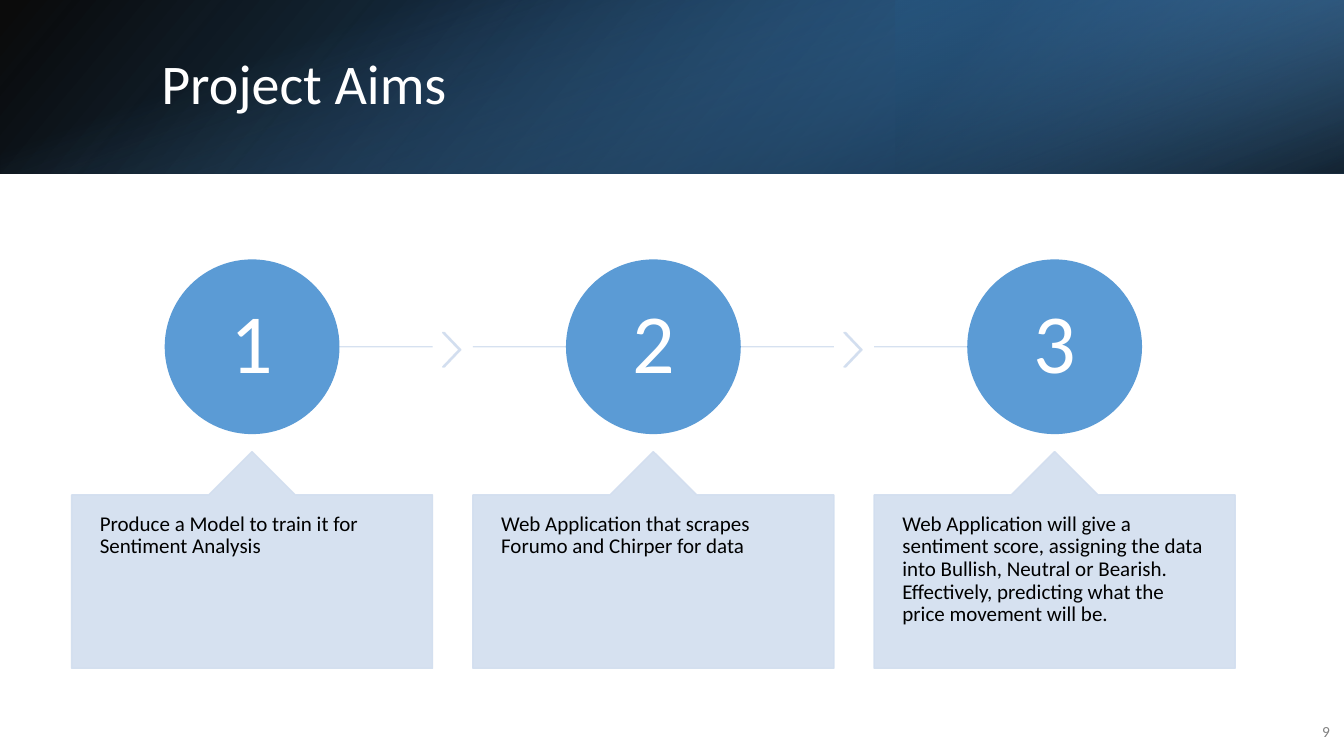
import pptx
import pptx.util
import pptx.oxml
import pptx.oxml.ns
import pptx.dml.color
import pptx.enum.shapes
import pptx.enum.text
from dataclasses import dataclass
from lxml import etree

TITLE = "Project Aims"
PAGE_NUMBER = "9"
AIMS = [
    "Produce a Model to train it for Sentiment Analysis",
    "Web Application that scrapes Forumo and Chirper for data",
    "Web Application will give a sentiment score, assigning the data into "
    "Bullish, Neutral or Bearish. Effectively, predicting what the price movement will be.",
]


@dataclass(frozen=True)
class Theme:
    font: str = "Calibri"
    accent: str = "5B9BD5"
    pale: str = "D2DEEF"
    white: str = "FFFFFF"
    black: str = "000000"
    grey: str = "808080"
    deep: str = "2E75B6"
    navy: str = "1F4E79"
    title_size: int = 40
    number_size: int = 60
    body_size: int = 15
    page_size: int = 11


THEME = Theme()
SLIDE_W, SLIDE_H = 13.33, 7.5
BAND_H = 1.72
BANDS = [
    ((0, 0, SLIDE_W, BAND_H), 0, True, 140,
     [(0, THEME.black, 96), (100, THEME.deep, 100)]),
    ((SLIDE_W * 2 / 3, 0, SLIDE_W / 3, BAND_H), 180, True, 320,
     [(19, THEME.navy, 68), (100, THEME.accent, 79)]),
    (((SLIDE_W - BAND_H) / 2, (BAND_H - SLIDE_W) / 2, BAND_H, SLIDE_W), 90, False, 340,
     [(23, THEME.accent, 0), (99, THEME.black, 74)]),
]
COLUMN_LEFT, COLUMN_W, GUTTER = 0.71, 3.58, 0.4
CALLOUT_TOP, CALLOUT_H = 4.48, 2.15
CIRCLE = 1.72
LINE_Y = 3.44
CHEVRON_W, CHEVRON_H, CHEVRON_TOP = 0.18, 0.34, 3.3
LINE_SPANS = [(5 / 9, 1), (0, 1), (0, 0.5)]
KIND = pptx.enum.shapes.MSO_SHAPE
ANCHOR = pptx.enum.text.MSO_ANCHOR
ALIGN = pptx.enum.text.PP_ALIGN


def inches(*lengths):
    return [pptx.util.Inches(length) for length in lengths]


def rgb(color):
    return pptx.dml.color.RGBColor.from_string(color)


def add_alpha(color_element, percent):
    alpha = etree.SubElement(color_element, pptx.oxml.ns.qn("a:alpha"))
    alpha.set("val", str(percent * 1000))


def fade(part, percent):
    for color_element in part.element.spPr.iter(pptx.oxml.ns.qn("a:srgbClr")):
        add_alpha(color_element, percent)


def add_block(slide, kind, box, color, adjustments=()):
    block = slide.shapes.add_shape(kind, *inches(*box))
    block.shadow.inherit = False
    block.fill.solid()
    block.fill.fore_color.rgb = rgb(color)
    block.line.color.rgb = rgb(color)
    block.line.width = pptx.util.Pt(1)
    for index, value in enumerate(adjustments):
        block.adjustments[index] = value
    return block


def write(part, text, size, color, align, anchor, inset=(0.1, 0.05), spacing=0.9):
    frame = part.text_frame
    frame.word_wrap = True
    frame.auto_size = pptx.enum.text.MSO_AUTO_SIZE.NONE
    frame.vertical_anchor = anchor
    frame.margin_left = frame.margin_right = pptx.util.Inches(inset[0])
    frame.margin_top = frame.margin_bottom = pptx.util.Inches(inset[1])
    frame.text = text
    paragraph = frame.paragraphs[0]
    paragraph.alignment = align
    paragraph.line_spacing = spacing
    paragraph.font.name = THEME.font
    paragraph.font.size = pptx.util.Pt(size)
    paragraph.font.color.rgb = rgb(color)


def add_band(slide, box, rotation, flipped, angle, stops):
    band = slide.shapes.add_shape(KIND.RECTANGLE, *inches(*box))
    band.shadow.inherit = False
    band.line.fill.background()
    band.rotation = rotation
    properties = band.element.spPr
    if flipped:
        properties.find(pptx.oxml.ns.qn("a:xfrm")).set("flipH", "1")
    band.fill.gradient()
    gradient = properties.find(pptx.oxml.ns.qn("a:gradFill"))
    gradient.set("rotWithShape", "1")
    stop_list = gradient.find(pptx.oxml.ns.qn("a:gsLst"))
    for stop in list(stop_list):
        stop_list.remove(stop)
    for position, color, opacity in stops:
        stop = etree.SubElement(stop_list, pptx.oxml.ns.qn("a:gs"), pos=str(position * 1000))
        color_element = etree.SubElement(stop, pptx.oxml.ns.qn("a:srgbClr"), val=color)
        add_alpha(color_element, opacity)
    direction = gradient.find(pptx.oxml.ns.qn("a:lin"))
    direction.set("ang", str(angle * 60000))
    direction.set("scaled", "0")


def add_track(slide, left, span):
    start, end = (left + COLUMN_W * share for share in span)
    track = slide.shapes.add_connector(
        pptx.enum.shapes.MSO_CONNECTOR.STRAIGHT, *inches(start, LINE_Y, end, LINE_Y))
    track.line.color.rgb = rgb(THEME.pale)
    track.line.width = pptx.util.Pt(1)
    fade(track, 90)
    etree.SubElement(track.element.spPr, pptx.oxml.ns.qn("a:effectLst"))


def add_aim(slide, index, aim):
    left = COLUMN_LEFT + index * (COLUMN_W + GUTTER)
    add_track(slide, left, LINE_SPANS[index])
    if index < len(AIMS) - 1:
        chevron_left = left + COLUMN_W + GUTTER / 4
        chevron = add_block(slide, KIND.CHEVRON,
                            (chevron_left, CHEVRON_TOP, CHEVRON_W, CHEVRON_H),
                            THEME.pale, [0.9])
        fade(chevron, 90)
    circle = add_block(slide, KIND.OVAL,
                       (left + (COLUMN_W - CIRCLE) / 2, LINE_Y - CIRCLE / 2, CIRCLE, CIRCLE),
                       THEME.accent)
    write(circle, str(index + 1), THEME.number_size, THEME.white,
          ALIGN.CENTER, ANCHOR.MIDDLE, (0.07, 0.07))
    callout = add_block(slide, KIND.UP_ARROW_CALLOUT,
                        (left, CALLOUT_TOP, COLUMN_W, CALLOUT_H),
                        THEME.pale, [0.5, 0.2, 0.2, 1])
    fade(callout, 90)
    write(callout, aim, THEME.body_size, THEME.black, ALIGN.LEFT, ANCHOR.TOP, (0.28, 0.18))


def main():
    deck = pptx.Presentation()
    deck.slide_width, deck.slide_height = inches(SLIDE_W, SLIDE_H)
    slide = deck.slides.add_slide(deck.slide_layouts[5])
    for band in BANDS:
        add_band(slide, *band)

    title = slide.shapes.title
    slide.shapes.element.append(title.element)
    title.left, title.top, title.width, title.height = inches(1.5, 0.38, 10.98, 0.96)
    write(title, TITLE, THEME.title_size, THEME.white, ALIGN.LEFT, ANCHOR.MIDDLE)

    page = slide.shapes.add_textbox(*inches(12.8, 7.06, 0.49, 0.4))
    write(page, PAGE_NUMBER, THEME.page_size, THEME.grey, ALIGN.RIGHT, ANCHOR.MIDDLE, spacing=1.0)

    for index, aim in enumerate(AIMS):
        add_aim(slide, index, aim)
    deck.save("out.pptx")


if __name__ == "__main__":
    main()
